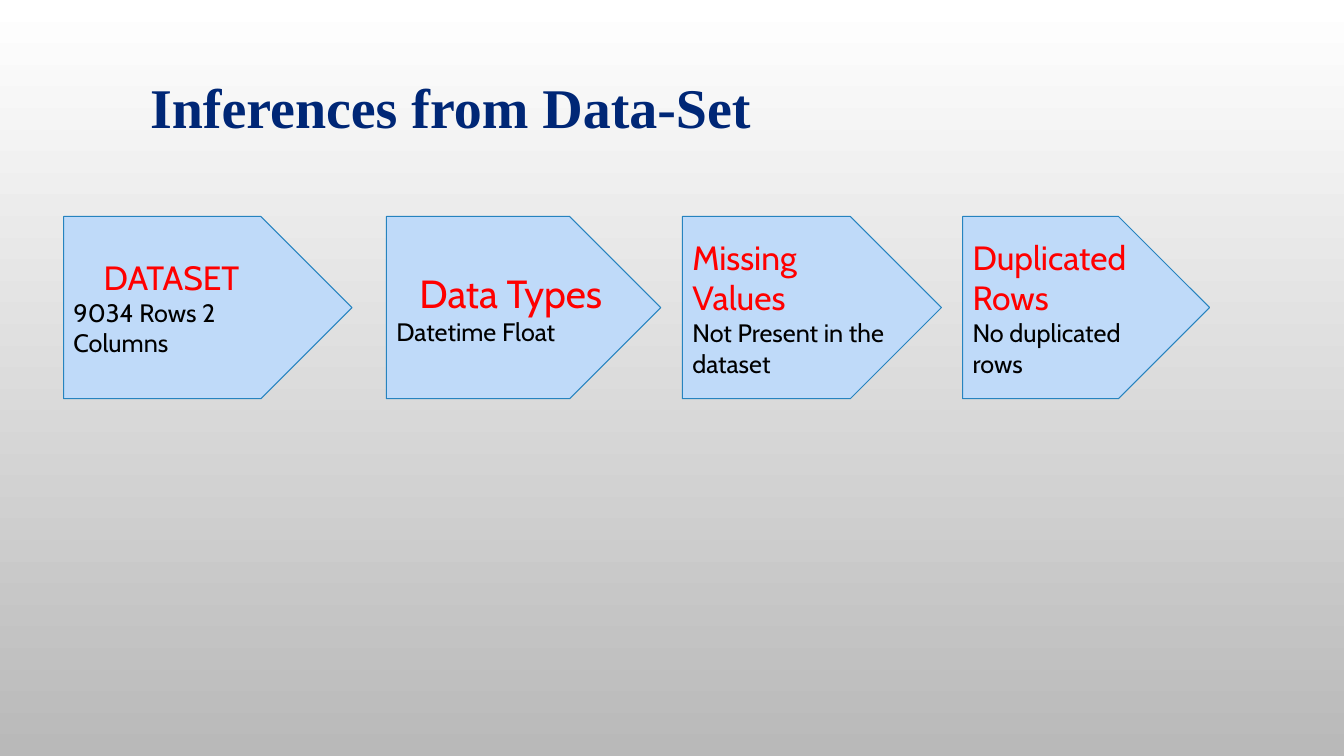
from pptx import Presentation
from pptx.dml.color import RGBColor
from pptx.enum import shapes, text
from pptx.util import Pt

WHITE = RGBColor(0xFF, 0xFF, 0xFF)
GREY = RGBColor(0xB9, 0xB9, 0xB9)
NAVY = RGBColor(0x00, 0x27, 0x76)
PALE_BLUE = RGBColor(0xBF, 0xDA, 0xF9)
BLUE = RGBColor(0x26, 0x83, 0xBF)
RED = RGBColor(0xFF, 0x00, 0x00)
BLACK = RGBColor(0x00, 0x00, 0x00)


def write(p, txt, size, color, font="Cabin", bold=False, indent=0):
    p.alignment = text.PP_ALIGN.LEFT
    if indent:
        p._p.get_or_add_pPr().set("indent", str(Pt(indent)))
    r = p.add_run()
    r.text = txt
    r.font.name = font
    r.font.size = Pt(size)
    r.font.bold = bold
    r.font.color.rgb = color


prs = Presentation()
prs.slide_width, prs.slide_height = Pt(960), Pt(540)
s = prs.slides.add_slide(prs.slide_layouts[5])

bg = s.background.fill
bg.gradient()
bg.gradient_angle = 270
for stop, color, pos in zip(bg.gradient_stops, (WHITE, GREY), (0, 1)):
    stop.color.rgb = color
    stop.position = pos

title = s.shapes.title
title.left, title.top, title.width, title.height = Pt(100), Pt(48.2), Pt(604), Pt(55.4)
tf = title.text_frame
tf.word_wrap = True
tf.auto_size = text.MSO_AUTO_SIZE.SHAPE_TO_FIT_TEXT
tf.vertical_anchor = text.MSO_ANCHOR.TOP
write(tf.paragraphs[0], "Inferences from Data-Set", 40, NAVY, font="Times New Roman", bold=True)

findings = [
    (45.4, 206, "DATASET", 24, 21.5, "9034 Rows 2 Columns"),
    (276, 196, "Data Types", 28, 16.5, "Datetime Float"),
    (487.5, 185, "Missing Values", 24, 0, "Not Present in the dataset"),
    (687.6, 176.4, "Duplicated Rows", 24, 0, "No duplicated rows"),
]
for left, width, heading, size, indent, detail in findings:
    sp = s.shapes.add_shape(shapes.MSO_SHAPE.PENTAGON, Pt(left), Pt(154.6), Pt(width), Pt(130.2))
    sp.shadow.inherit = False
    sp.fill.solid()
    sp.fill.fore_color.rgb = PALE_BLUE
    sp.line.color.rgb = BLUE
    sp.line.width = Pt(0.75)
    tf = sp.text_frame
    tf.word_wrap = True
    tf.vertical_anchor = text.MSO_ANCHOR.MIDDLE
    write(tf.paragraphs[0], heading, size, RED, indent=indent)
    write(tf.add_paragraph(), detail, 18, BLACK)

prs.save("out.pptx")
